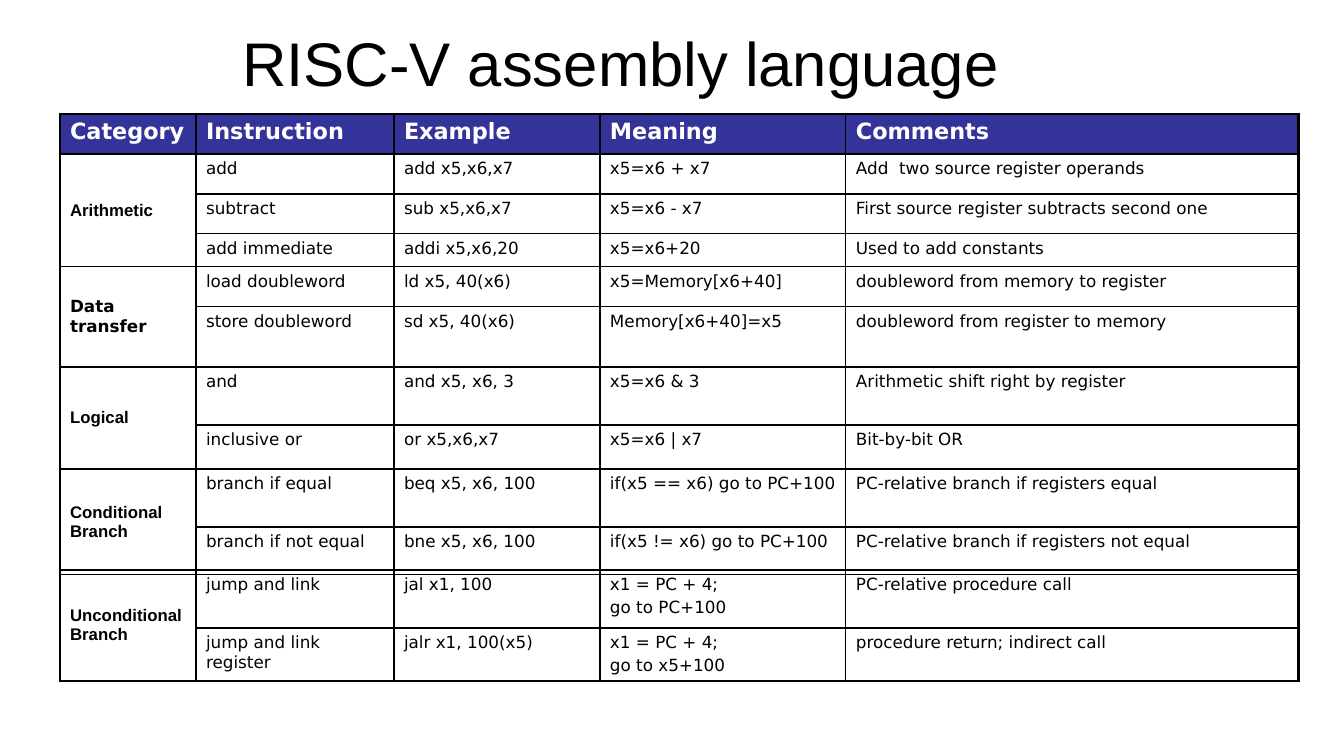
from lxml.etree import SubElement
from pptx import Presentation
from pptx.dml.color import RGBColor
from pptx.enum.text import MSO_ANCHOR as Anchor, MSO_AUTO_SIZE as AutoSize, PP_ALIGN as Align
from pptx.oxml.ns import qn
from pptx.util import Pt

TITLE = "RISC-V assembly language"
SANS, MONO_LIKE = "Arial", "DejaVu Sans"
HEADER = ["Category", "Instruction", "Example", "Meaning", "Comments"]
ARITHMETIC = ("Arithmetic", SANS, [
    ["add", "add x5,x6,x7", "x5=x6 + x7", "Add  two source register operands"],
    ["subtract", "sub x5,x6,x7", "x5=x6 - x7", "First source register subtracts second one"],
    ["add immediate", "addi x5,x6,20", "x5=x6+20", "Used to add constants"],
])
TRANSFER = ("Data transfer", MONO_LIKE, [
    ["load doubleword", "ld x5, 40(x6)", "x5=Memory[x6+40]", "doubleword from memory to register"],
    ["store doubleword", "sd x5, 40(x6)", "Memory[x6+40]=x5", "doubleword from register to memory"],
])
LOGICAL = ("Logical", SANS, [
    ["and", "and x5, x6, 3", "x5=x6 & 3", "Arithmetic shift right by register"],
    ["inclusive or", "or x5,x6,x7", "x5=x6 | x7", "Bit-by-bit OR"],
])
CONDITIONAL = ("Conditional Branch", SANS, [
    ["branch if equal", "beq x5, x6, 100", "if(x5 == x6) go to PC+100",
     "PC-relative branch if registers equal"],
    ["branch if not equal", "bne x5, x6, 100", "if(x5 != x6) go to PC+100",
     "PC-relative branch if registers not equal"],
])
UNCONDITIONAL = ("Unconditional Branch", SANS, [
    ["jump and link", "jal x1, 100", "x1 = PC + 4;\ngo to PC+100", "PC-relative procedure call"],
    ["jump and link register", "jalr x1, 100(x5)", "x1 = PC + 4;\ngo to x5+100",
     "procedure return; indirect call"],
])
TABLES = [
    (114, [40, 40, 40, 33, 40, 60], HEADER, [ARITHMETIC, TRANSFER]),
    (367, [58, 44], None, [LOGICAL]),
    (469, [58, 47], None, [CONDITIONAL]),
    (570, [58, 53], None, [UNCONDITIONAL]),
]
TABLE_LEFT = 60
COLUMN_WIDTHS = [136, 198, 206, 246, 453]
TITLE_BOX = (187, 29, 868, 66)
SLIDE_SIZE = (1344, 756)

BLACK = RGBColor(0x00, 0x00, 0x00)
WHITE = RGBColor(0xFF, 0xFF, 0xFF)
NAVY = RGBColor(0x33, 0x33, 0x99)
THIN, THICK = 1, 2.25
EMU_PER_INCH, PX_PER_INCH = 914400, 100.8


def px(length):
    return round(length * EMU_PER_INCH / PX_PER_INCH)


def style_run(span, font, size, color, bold=False):
    span.font.name = font
    span.font.size = Pt(size)
    span.font.bold = bold
    span.font.color.rgb = color


def set_borders(cell, left=THIN, right=THIN, top=THIN, bottom=THIN):
    properties = cell._tc.get_or_add_tcPr()
    for side, width in zip("LRTB", (left, right, top, bottom)):
        line = SubElement(properties, qn(f"a:ln{side}"), w=str(Pt(width)))
        fill = SubElement(line, qn("a:solidFill"))
        SubElement(fill, qn("a:srgbClr"), val=str(BLACK))


def write_cell(cell, text, font=MONO_LIKE, size=12, color=BLACK, bold=False):
    cell.text_frame.text = text
    for para in cell.text_frame.paragraphs:
        para.space_before = Pt(size * 0.2)
        for span in para.runs:
            style_run(span, font, size, color, bold)


def add_instruction_table(page, top, heights, header, groups):
    frame = page.shapes.add_table(
        len(heights), len(COLUMN_WIDTHS), px(TABLE_LEFT), px(top),
        px(sum(COLUMN_WIDTHS)), px(sum(heights)))
    table = frame.table
    table.first_row = table.horz_banding = False
    for column, width in zip(table.columns, COLUMN_WIDTHS):
        column.width = px(width)
    for row, height in zip(table.rows, heights):
        row.height = px(height)

    last_column = len(COLUMN_WIDTHS) - 1
    for r in range(len(heights)):
        for c in range(len(COLUMN_WIDTHS)):
            cell = table.cell(r, c)
            set_borders(cell,
                        left=THICK if c == 0 else THIN,
                        right=THICK if c == last_column else THIN,
                        top=THICK if header and r == 0 else THIN)
            cell.fill.background()

    first = 0
    if header:
        for c, heading in enumerate(header):
            cell = table.cell(0, c)
            cell.fill.solid()
            cell.fill.fore_color.rgb = NAVY
            write_cell(cell, heading, size=16, color=WHITE, bold=True)
        first = 1

    for category, font, instructions in groups:
        label = table.cell(first, 0)
        label.merge(table.cell(first + len(instructions) - 1, 0))
        label.vertical_anchor = Anchor.MIDDLE
        write_cell(label, category, font=font, bold=True)
        for r, texts in enumerate(instructions, first):
            for c, text in enumerate(texts, 1):
                write_cell(table.cell(r, c), text)
        first += len(instructions)


def main():
    deck = Presentation()
    deck.slide_width, deck.slide_height = map(px, SLIDE_SIZE)
    page = deck.slides.add_slide(deck.slide_layouts[5])

    title = page.shapes.title
    title.left, title.top, title.width, title.height = map(px, TITLE_BOX)
    title.text_frame.text = TITLE
    title.text_frame.auto_size = AutoSize.NONE
    title.text_frame.vertical_anchor = Anchor.MIDDLE
    para = title.text_frame.paragraphs[0]
    para.alignment = Align.CENTER
    style_run(para.runs[0], SANS, 44, BLACK)

    for top, heights, header, groups in TABLES:
        add_instruction_table(page, top, heights, header, groups)

    deck.save("out.pptx")


if __name__ == "__main__":
    main()
